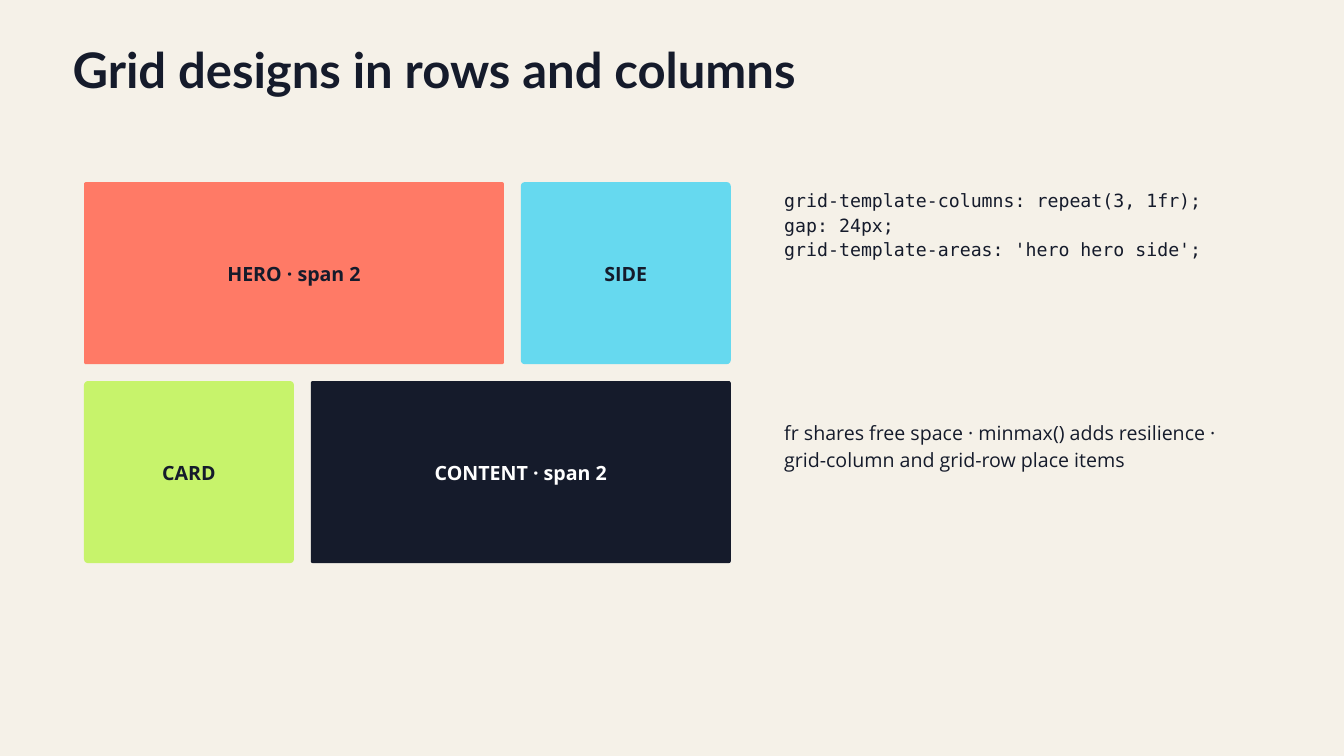
from pptx import Presentation
from pptx.dml.color import RGBColor
from pptx.enum.shapes import MSO_SHAPE
from pptx.enum.text import MSO_ANCHOR, MSO_AUTO_SIZE, PP_ALIGN
from pptx.util import Inches, Pt

INK = "151B2B"


def color(value):
    return RGBColor.from_string(value)


def write(shape, lines, font, size, spacing, ink=INK, bold=False,
          align=PP_ALIGN.LEFT, anchor=MSO_ANCHOR.TOP, inset=0, bottom=0):
    frame = shape.text_frame
    frame_format = {
        "word_wrap": True, "auto_size": MSO_AUTO_SIZE.NONE, "vertical_anchor": anchor,
        "margin_left": Inches(inset), "margin_right": Inches(inset),
        "margin_top": Inches(inset), "margin_bottom": Inches(bottom),
    }
    for name, value in frame_format.items():
        setattr(frame, name, value)
    for index, line in enumerate(lines):
        para = frame.add_paragraph() if index else frame.paragraphs[0]
        para.alignment = align
        para.line_spacing = Pt(spacing)
        span = para.add_run()
        span.text = line
        for name, value in {"name": font, "size": Pt(size), "bold": bold}.items():
            setattr(span.font, name, value)
        span.font.color.rgb = color(ink)


deck = Presentation()
deck.slide_width, deck.slide_height = Inches(20), Inches(11.25)
page = deck.slides.add_slide(deck.slide_layouts[5])
page.background.fill.solid()
page.background.fill.fore_color.rgb = color("F5F1E8")

title = page.shapes.title
title.left, title.top = Inches(1.08), Inches(0.72)
title.width, title.height = Inches(14.58), Inches(0.88)
write(title, ["Grid designs in rows and columns"], "Lato", 52.5, 53.5, bold=True)

code = ["grid-template-columns: repeat(3, 1fr);", "gap: 24px;",
        "grid-template-areas: 'hero hero side';"]
box = page.shapes.add_textbox(Inches(11.67), Inches(2.78), Inches(7.08), Inches(1.08))
write(box, code, "DejaVu Sans Mono", 19.5, 26.3)

note = "fr shares free space · minmax() adds resilience · grid-column and grid-row place items"
box = page.shapes.add_textbox(Inches(11.67), Inches(6.22), Inches(6.77), Inches(0.76))
write(box, [note], "Open Sans", 21, 28.4)

# Each tile: label, columns spanned, fill, text colour
rows = [
    [("HERO · span 2", 2, "FF7A66", INK), ("SIDE", 1, "66D9EF", INK)],
    [("CARD", 1, "C7F36B", INK), ("CONTENT · span 2", 2, INK, "FFFFFF")],
]
left, top, unit, height, gap = 1.25, 2.71, 3.125, 2.71, 0.25
for row, tiles in enumerate(rows):
    x = left
    for label, columns, fill, ink in tiles:
        width = columns * unit
        tile = page.shapes.add_shape(
            MSO_SHAPE.ROUNDED_RECTANGLE, Inches(x), Inches(top + row * (height + gap)),
            Inches(width), Inches(height))
        tile.adjustments[0] = 0.06 / columns / height
        tile.shadow.inherit = False
        tile.fill.solid()
        tile.fill.fore_color.rgb = color(fill)
        tile.line.fill.background()
        write(tile, [label], "Open Sans", 21, 29.4, ink, bold=True,
              align=PP_ALIGN.CENTER, anchor=MSO_ANCHOR.MIDDLE, inset=0.06, bottom=0.09)
        x += width + gap

deck.save("out.pptx")
